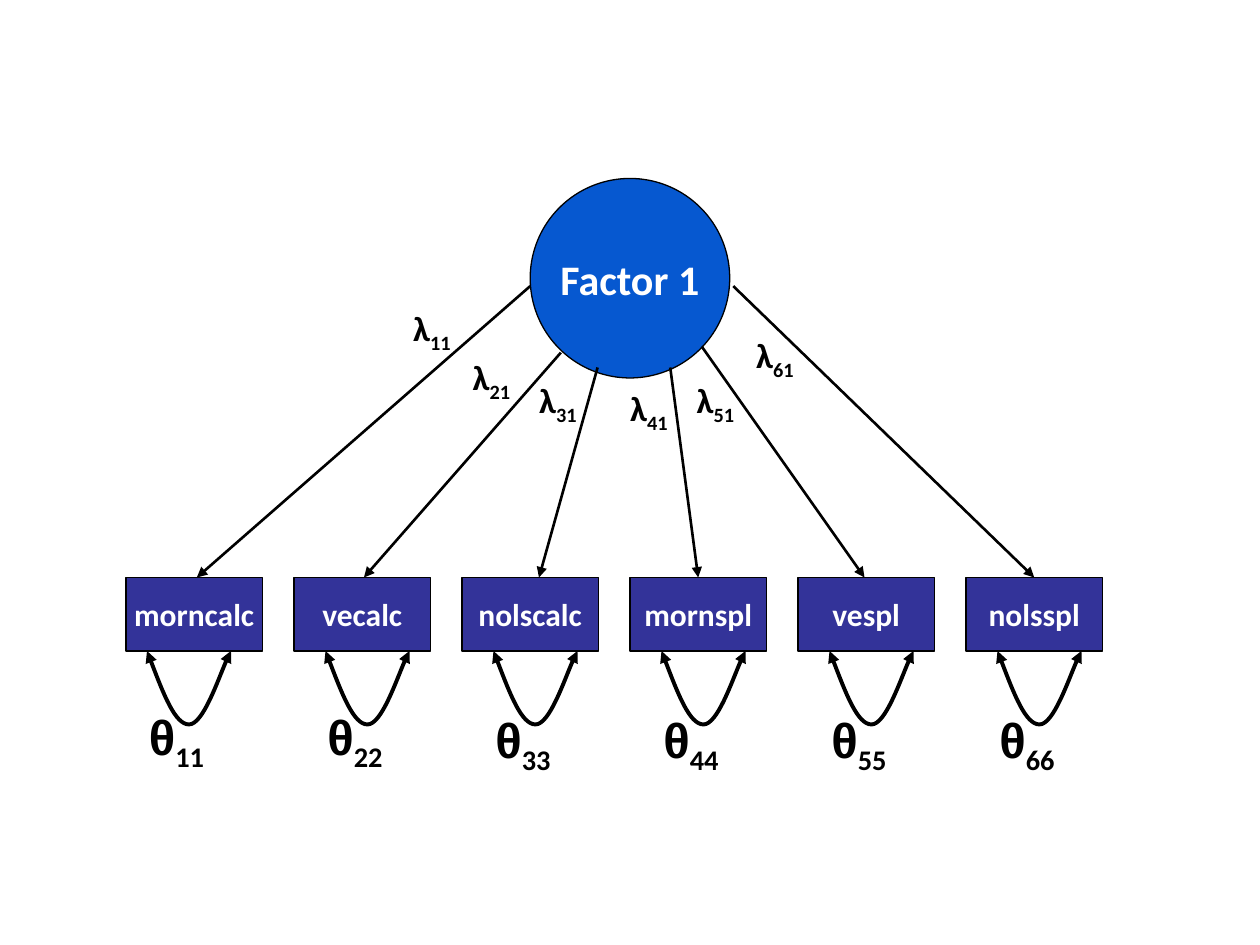
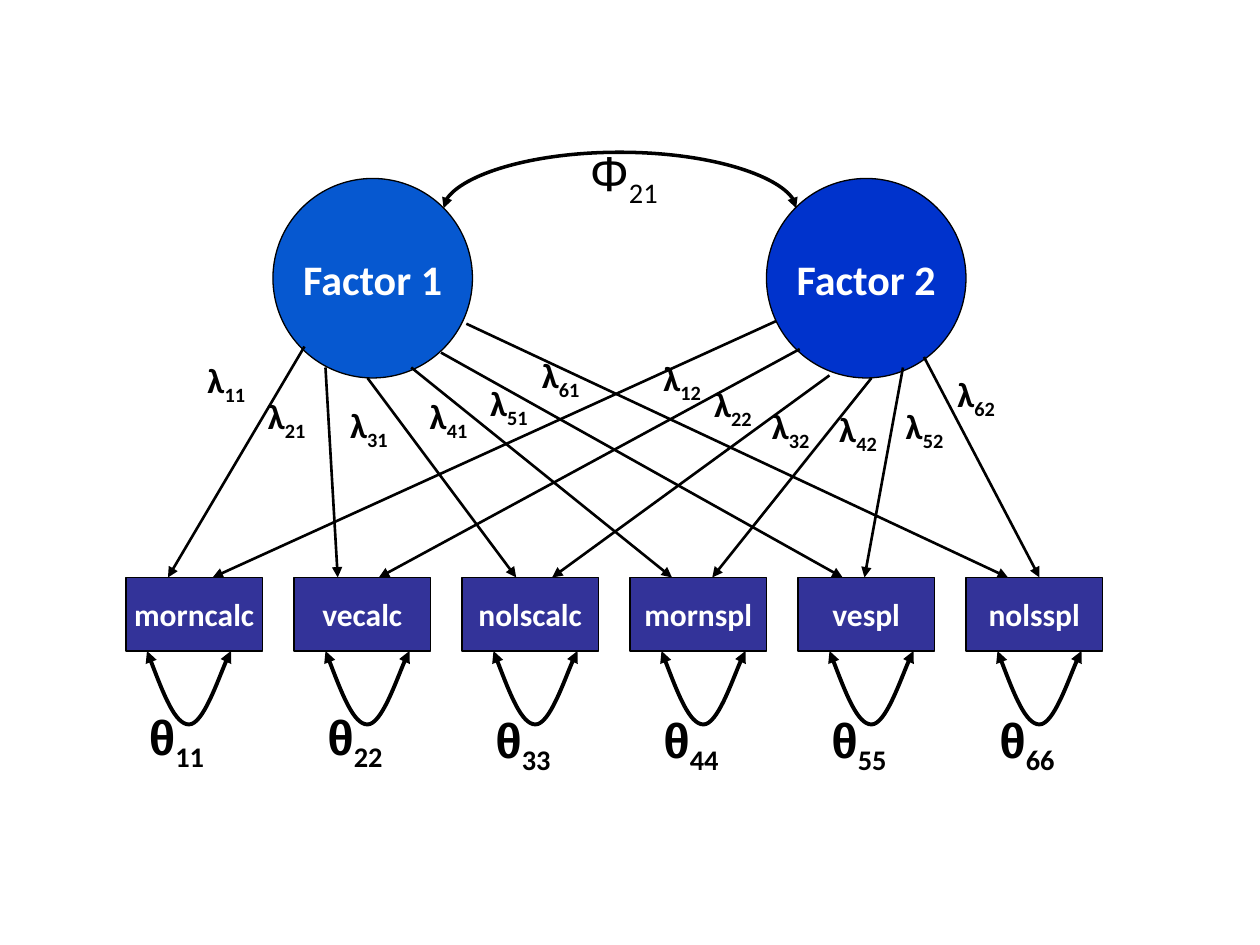
from lxml.etree import SubElement
from pptx import Presentation
from pptx.dml.color import RGBColor
from pptx.enum.shapes import MSO_CONNECTOR, MSO_SHAPE
from pptx.enum.text import MSO_ANCHOR, MSO_AUTO_SIZE, PP_ALIGN
from pptx.oxml.ns import qn
from pptx.util import Pt

BLACK, WHITE = "000000", "FFFFFF"
NAVY, BLUE, ROYAL = "333399", "0658D0", "0033CC"
TESTS = ["morncalc", "vecalc", "nolscalc", "mornspl", "vespl", "nolsspl"]
STEP, LEFT, TOP = 96, 72, 330      # row of test boxes
WIDE, HIGH, DISC = 78, 42, 114     # box size and factor diameter


def ink(fill, color):
    fill.solid()
    fill.fore_color.rgb = RGBColor.from_string(color)


def write(shape, text, sub="", size=20, font="Calibri", color=BLACK,
          bold=True, label=True):
    """Write text with an optional subscript; a label sits at top left."""
    frame = shape.text_frame
    frame.word_wrap = label
    frame.vertical_anchor = MSO_ANCHOR.TOP if label else MSO_ANCHOR.MIDDLE
    if label:
        frame.auto_size = MSO_AUTO_SIZE.SHAPE_TO_FIT_TEXT
    para = frame.paragraphs[0]
    para.alignment = PP_ALIGN.LEFT if label else PP_ALIGN.CENTER
    for part, face in ((text, font), (sub, "Calibri")):
        if part:
            run = para.add_run()
            run.text = part
            run.font.name, run.font.size, run.font.bold = face, Pt(size), bold
            ink(run.font.fill, color)
    if sub:
        run.font._element.set("baseline", "-25000")


# Each factor: name, colour, left edge, and one row per loading:
# foot x at the test box, tip x and y at the factor, label x and y
ONE = [("Factor 1", BLUE, 303, [
    (112.5, 303, 163.5, 229, 171.5),
    (208, 320.5, 201.5, 263, 199.5),
    (308, 341.5, 210, 301, 213),
    (399, 383, 210, 353, 217.5),
    (494, 401, 198, 391, 213),
    (591, 419, 163.5, 425, 187)])]
TWO = [("Factor 1", BLUE, 156, [
    (96, 174, 198, 111.5, 201.5),
    (193, 186, 210, 146, 222),
    (295, 210, 216, 193, 227),
    (384, 235, 210, 238.5, 222),
    (481.5, 252, 201.5, 273, 214.5),
    (576, 266.5, 185, 302.5, 198.5)]),
    ("Factor 2", ROYAL, 438, [
        (121.5, 443.5, 183.5, 372, 200),
        (216.5, 457, 199.5, 401, 215),
        (315.5, 474, 214.5, 434, 227.5),
        (407, 498, 216, 472.5, 229.5),
        (494, 516, 210, 510.5, 227.5),
        (594, 528, 204, 540, 209.5)])]

# Curves as a start point and two Bezier segments
LOOP = [(0, 0), (8, 21), (16, 42), (24, 42), (32, 42), (44, 7), (48, 0)]
ARCH = [(253.5, 119), (253.5, 103), (304, 87), (354, 87),
        (404.5, 87), (455, 103), (455, 119)]

deck = Presentation()
deck.slide_width, deck.slide_height = Pt(720), Pt(540)

for model in (ONE, TWO):
    shapes = deck.slides.add_slide(deck.slide_layouts[6]).shapes
    solids, labels, curves, strokes = [], [], [], []

    # Factors with their loadings
    for num, (name, color, left, rows) in enumerate(model, 1):
        solids.append((MSO_SHAPE.OVAL, left, 102, DISC, DISC, color, name, 24))
        for row, (foot, tip, rim, x, y) in enumerate(rows, 1):
            strokes.append((foot, TOP, tip, rim))
            labels.append((x, y, 66, 32, "λ", f"{row}{num}", 20, "Calibri", True))

    # Tests with their error variances
    for i, test in enumerate(TESTS):
        left = LEFT + STEP * i
        solids.append((MSO_SHAPE.RECTANGLE, left, TOP, WIDE, HIGH, NAVY, test, 18))
        start = left + (18 if i else 12)
        curves.append(([(start + x, TOP + HIGH + y) for x, y in LOOP], 2.25))
        labels.append((start - 6, 400 if i < 2 else 402, 60, 41,
                       "θ", f"{i + 1}" * 2, 28, "Arial", True))

    # Covariance of the two factors
    if len(model) == 2:
        curves.append((ARCH, 2))
        labels.append((330, 78, 66, 41, "Φ", "21", 28, "Arial", False))

    # Circles and boxes
    for kind, x, y, w, h, color, text, size in solids:
        solid = shapes.add_shape(kind, Pt(x), Pt(y), Pt(w), Pt(h))
        solid.shadow.inherit = False
        ink(solid.fill, color)
        ink(solid.line.fill, BLACK)
        solid.line.width = Pt(0.75)
        write(solid, text, size=size, color=WHITE, label=False)

    # Straight arrows, then curves: every three line steps become one Bezier
    lines = [(shapes.add_connector(MSO_CONNECTOR.STRAIGHT, *map(Pt, ends)),
              1.5, ["headEnd"]) for ends in strokes]
    for points, width in curves:
        first, *rest = [(Pt(x), Pt(y)) for x, y in points]
        build = shapes.build_freeform(*first)
        build.add_line_segments(rest, close=False)
        curve = build.convert_to_shape()
        curve.fill.background()
        steps = list(curve._element.iter(qn("a:lnTo")))
        for i in (0, 3):
            steps[i].tag = qn("a:cubicBezTo")
            for step in steps[i + 1:i + 3]:
                steps[i].append(step[0])
                step.getparent().remove(step)
        lines.append((curve, width, ["headEnd", "tailEnd"]))

    # Line format and arrowheads
    for line, width, ends in lines:
        ink(line.line.fill, BLACK)
        line.line.width = Pt(width)
        props = line._element.spPr
        for end in ends:
            SubElement(props.find(qn("a:ln")), qn("a:" + end), type="triangle")
        SubElement(props, qn("a:effectLst"))

    # Greek labels
    for x, y, w, h, text, sub, size, font, bold in labels:
        box = shapes.add_textbox(Pt(x), Pt(y), Pt(w), Pt(h))
        write(box, text, sub=sub, size=size, font=font, bold=bold)

deck.save("out.pptx")
